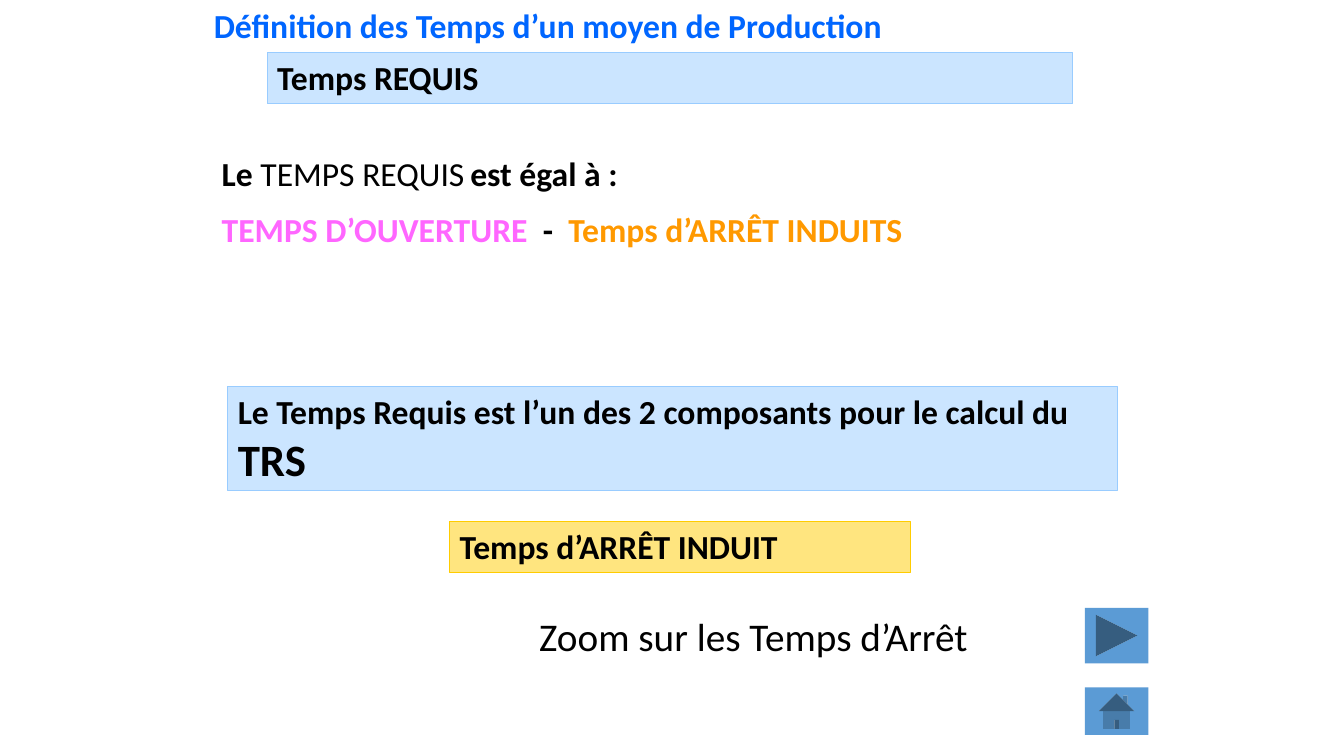
from lxml.etree import SubElement
from pptx import Presentation
from pptx.dml.color import RGBColor
from pptx.enum.shapes import MSO_SHAPE
from pptx.enum.text import MSO_ANCHOR, MSO_AUTO_SIZE, PP_ALIGN
from pptx.oxml.ns import qn
from pptx.util import Pt

PX = 9144
FONT = "Calibri"
COLORS = {
    "black": "000000", "blue": "0066FF", "sky": "99CCFF", "gold": "FFCC00",
    "pink": "FF66FF", "orange": "FF9900", "button": "5B9BD5",
}

TITLE = ((202, 0, 921, 50), "Définition des Temps d’un moyen de Production")
BUTTONS = [
    (MSO_SHAPE.ACTION_BUTTON_FORWARD_OR_NEXT, (1076, 603, 63, 55)),
    (MSO_SHAPE.ACTION_BUTTON_HOME, (1076, 682, 63, 47)),
]
BOXES = [
    ((265, 52, 799, 51), "sky", [("Temps REQUIS", {})]),
    ((446, 517, 457, 51), "gold", [("Temps d’ARRÊT INDUIT", {})]),
    ((226, 383, 882, 104), "sky", [
        ("Le Temps Requis est l’un des 2 composants pour le calcul du ", {}),
        ("TRS", {"size": 32}),
    ]),
]
FORMULA = ((210, 147, 898, 111), [
    [("Le ", {}), ("TEMPS REQUIS", {"bold": False}),
     (" ", {"bold": False, "size": 18}), ("est égal à :", {})],
    [("TEMPS D’OUVERTURE  ", {"color": "pink"}), ("-  ", {}),
     ("Temps d’ARRÊT INDUITS", {"color": "orange"})],
])
ZOOM = ((525, 603, 543, 57), "Zoom sur les Temps d’Arrêt")


def scale(box):
    return [n * PX for n in box]


def rgb(name):
    return RGBColor.from_string(COLORS[name])


def style(font, size=None, bold=None, color=None):
    if size is not None:
        font.size = Pt(size)
    if bold is not None:
        font.bold = bold
    if color is not None:
        font.color.rgb = rgb(color)


def write(shape, lines, size=24, bold=True, color="black"):
    frame = shape.text_frame
    frame.word_wrap = True
    frame.auto_size = MSO_AUTO_SIZE.NONE
    frame.vertical_anchor = MSO_ANCHOR.TOP
    for i, runs in enumerate(lines):
        para = frame.add_paragraph() if i else frame.paragraphs[0]
        para.alignment = PP_ALIGN.LEFT
        para.line_spacing = 1.0
        para.space_before = Pt(11 if i else 0)
        para.font.name = FONT
        style(para.font, size, bold, color)
        for text, look in runs:
            run = para.add_run()
            run.text = text
            style(run.font, **look)


def draw(slide, kind, box, color):
    shape = slide.shapes.add_shape(kind, *scale(box))
    shape.shadow.inherit = False
    shape.fill.solid()
    shape.fill.fore_color.rgb = rgb(color)
    return shape


def main():
    deck = Presentation()
    deck.slide_width, deck.slide_height = scale((1333, 750))
    slide = deck.slides.add_slide(deck.slide_layouts[5])

    box, text = TITLE
    title = slide.shapes.title
    title.left, title.top, title.width, title.height = scale(box)
    write(title, [[(text, {})]], color="blue")

    for kind, box in BUTTONS:
        draw(slide, kind, box, "button").line.fill.background()

    for box, color, runs in BOXES:
        shape = draw(slide, MSO_SHAPE.RECTANGLE, box, color)
        tint = shape.fill._xPr.find(qn("a:solidFill"))[0]
        SubElement(tint, qn("a:alpha"), val="50000")
        shape.line.color.rgb = rgb(color)
        shape.line.width = Pt(0.75)
        write(shape, [runs])

    box, lines = FORMULA
    write(slide.shapes.add_textbox(*scale(box)), lines)
    box, text = ZOOM
    write(slide.shapes.add_textbox(*scale(box)), [[(text, {})]], size=28, bold=False)

    deck.save("out.pptx")


if __name__ == "__main__":
    main()
